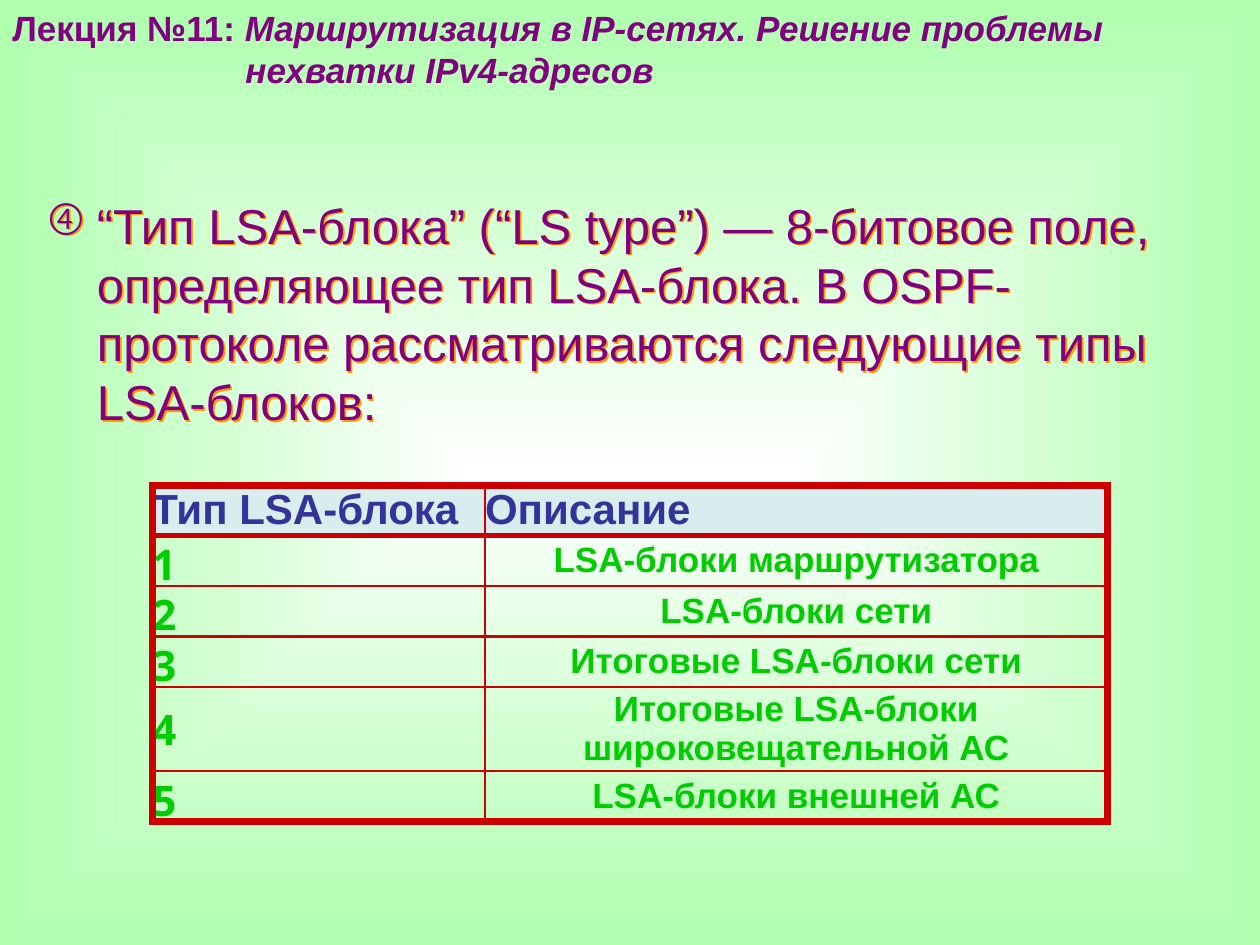
import pptx
import pptx.util
import pptx.dml.color
import pptx.enum.text
import pptx.oxml
import pptx.oxml.ns

W, H = 10, 7.5
COLORS = {"purple": "800080", "orange": "FF9900", "navy": "333399", "green": "00CC00",
          "red": "CC0000", "header": "D9EDEF", "white": "FFFFFF", "mint": "AFFFAF"}
NS = pptx.oxml.ns.nsdecls("a")
Inches, Pt = pptx.util.Inches, pptx.util.Pt
ALIGN = pptx.enum.text.PP_ALIGN


def rgb(name):
    return pptx.dml.color.RGBColor.from_string(COLORS[name])


def xml(text):
    return pptx.oxml.parse_xml(text.replace(">", f" {NS}>", 1) if "/>" not in text.split(">")[0] + ">"
                               else text.replace("/>", f" {NS}/>", 1))


def add_text(p, text, size=20, color="purple", font="Arial", bold=False, italic=False,
             align=None, before=None):
    r = p.add_run()
    r.text = text
    f = r.font
    f.size, f.name, f.bold, f.italic = Pt(size), font, bold, italic
    f.color.rgb = rgb(color)
    if align is not None:
        p.alignment = align
    if before is not None:
        p.space_before = Pt(before)


def add_box(s, x, y, w, h):
    tf = s.shapes.add_textbox(Inches(x), Inches(y), Inches(w), Inches(h)).text_frame
    tf.word_wrap = True
    return tf


def background(s):
    fill = s.background.fill
    fill.gradient()
    for stop, name in zip(fill.gradient_stops, ("white", "mint")):
        stop.color.rgb = rgb(name)
    grad = s.background._cSld.find(".//" + pptx.oxml.ns.qn("a:gradFill"))
    grad.replace(grad.find(pptx.oxml.ns.qn("a:lin")), xml(
        '<a:path path="shape"><a:fillToRect l="50000" t="50000" r="50000" b="50000"/></a:path>'))


def title(s, x, y, w, h):
    tf = add_box(s, x, y, w, h)
    p = tf.paragraphs[0]
    add_text(p, "Лекция №11: ", bold=True)
    add_text(p, "Маршрутизация в IP-сетях. Решение проблемы", bold=True, italic=True)
    p = tf.add_paragraph()
    p._p.get_or_add_pPr().set("marL", str(Inches(1.85)))
    add_text(p, "нехватки IPv4-адресов", bold=True, italic=True)


def definition(s, x, y, w, h):
    tf = add_box(s, x, y, w, h)
    p = tf.paragraphs[0]
    add_text(p, "“Тип LSA-блока” (“LS type”) — 8-битовое поле, определяющее тип LSA-блока. "
                "В OSPF-протоколе рассматриваются следующие типы LSA-блоков:", size=28, before=14)
    pPr = p._p.get_or_add_pPr()
    pPr.set("marL", str(Inches(0.4)))
    pPr.set("indent", str(-Inches(0.4)))
    pPr.append(xml('<a:buSzPct val="90000"/>'))
    pPr.append(xml('<a:buChar char="④"/>'))
    # Orange shadow behind the letters
    tf._txBody.getparent().spPr.append(xml(
        '<a:effectLst><a:outerShdw dist="17961" dir="2700000" algn="ctr" rotWithShape="0">'
        f'<a:srgbClr val="{COLORS["orange"]}"/></a:outerShdw></a:effectLst>'))


def set_borders(cell, **widths):
    tcPr = cell._tc.get_or_add_tcPr()
    for i, (side, width) in enumerate(widths.items()):
        tcPr.insert(i, xml(f'<a:ln{side} w="{Pt(width)}"><a:solidFill><a:srgbClr '
                           f'val="{COLORS["red"]}"/></a:solidFill></a:ln{side}>'))


def lsa_table(s, x, y, w, h):
    rows = [("Тип LSA-блока", "Описание"),
            ("1", "LSA-блоки маршрутизатора"),
            ("2", "LSA-блоки сети"),
            ("3", "Итоговые LSA-блоки сети"),
            ("4", "Итоговые LSA-блоки широковещательной АС"),
            ("5", "LSA-блоки внешней АС")]
    last = len(rows) - 1
    table = s.shapes.add_table(len(rows), 2, Inches(x), Inches(y), Inches(w), Inches(h)).table
    for col, width in zip(table.columns, (2.64, w - 2.64)):
        col.width = Inches(width)
    for i, row in enumerate(rows):
        # The fifth row holds two lines and takes what the others leave
        table.rows[i].height = Inches(h - 0.4 * last if i == 4 else 0.4)
        for j, text in enumerate(row):
            cell = table.cell(i, j)
            cell.margin_left = cell.margin_right = cell.margin_top = cell.margin_bottom = 0
            cell.vertical_anchor = pptx.enum.text.MSO_ANCHOR.MIDDLE
            p = cell.text_frame.paragraphs[0]
            if i == 0:
                cell.fill.solid()
                cell.fill.fore_color.rgb = rgb("header")
                add_text(p, text, size=24, color="navy", bold=True, before=4.8)
            else:
                cell.fill.background()
                if j == 0:
                    add_text(p, text, size=24, color="green", font="Noto Sans", bold=True, before=4.8)
                else:
                    add_text(p, text, color="green", bold=True, align=ALIGN.CENTER, before=4)
            set_borders(cell, L=1.5 if j else 4.5, R=4.5 if j else 1.5,
                        T={0: 4.5, 1: 3}.get(i, 1.5), B={0: 3, last: 4.5}.get(i, 1.5))


def main():
    prs = pptx.Presentation()
    prs.slide_width, prs.slide_height = Inches(W), Inches(H)
    s = prs.slides.add_slide(prs.slide_layouts[6])
    background(s)
    title(s, 0, 0, 0.9 * W, 0.1 * H)
    definition(s, 0.27, 0.2 * H, 0.945 * W, 0.26 * H)
    lsa_table(s, 1.21, 3.85, 7.58, 2.67)
    prs.save("out.pptx")


if __name__ == "__main__":
    main()
